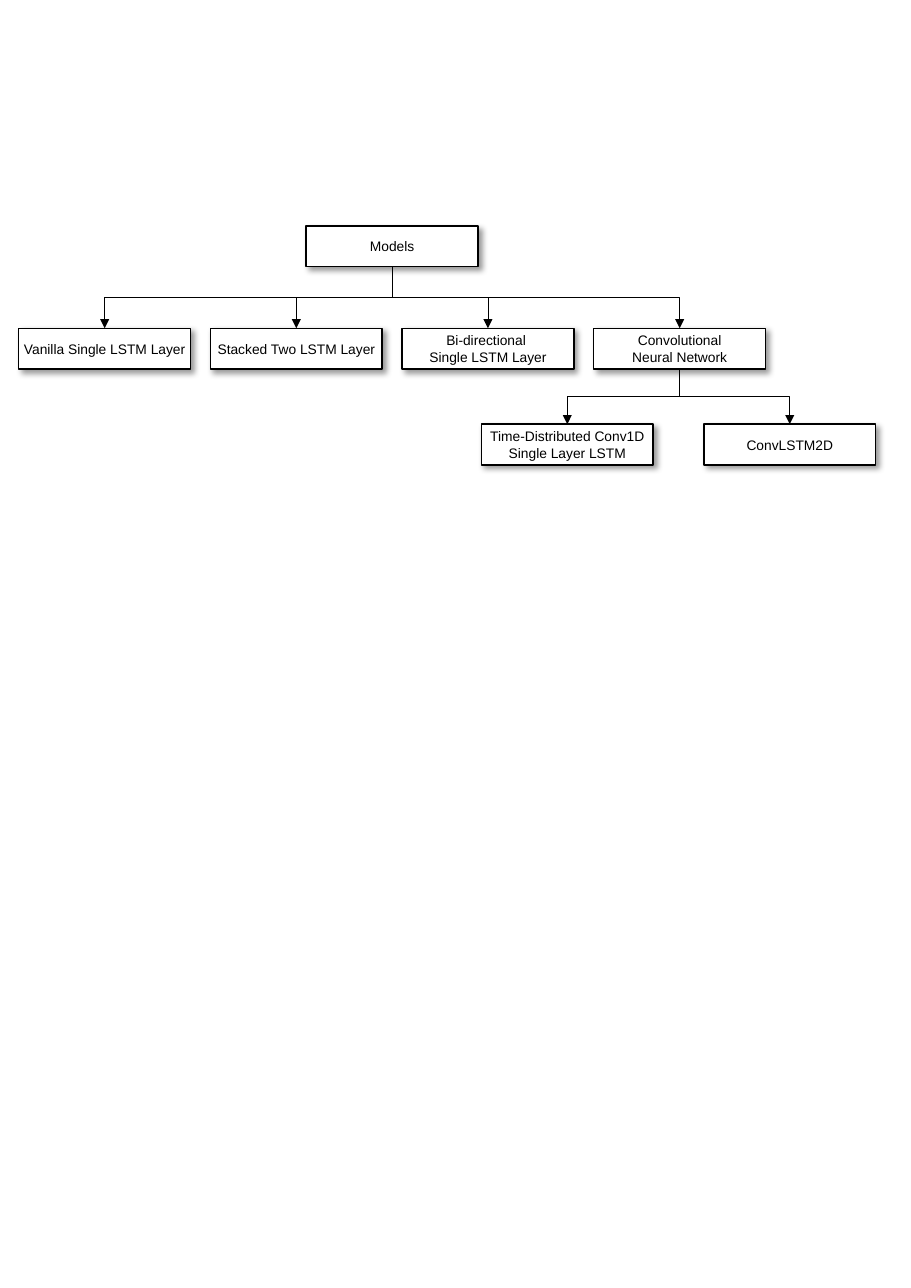
from lxml import etree
from pptx import Presentation
from pptx.dml.color import RGBColor
from pptx.enum.shapes import MSO_CONNECTOR as CONN, MSO_SHAPE as SHAPE
from pptx.enum.text import MSO_ANCHOR as ANCHOR, PP_ALIGN as ALIGN
from pptx.oxml import parse_xml
from pptx.oxml.ns import nsdecls, qn
from pptx.util import Inches, Pt

BOX_W, BOX_H = 1.56, 0.37
BLACK, WHITE = "000000", "FFFFFF"
BOTTOM, TOP = 2, 0  # connection sites of a rectangle


def color(value):
    return RGBColor.from_string(value)


def write(sp, text, size=9, font="Arial", fill=BLACK, align=ALIGN.CENTER):
    tf = sp.text_frame
    tf.word_wrap = True
    tf.vertical_anchor = ANCHOR.MIDDLE
    tf.margin_left = tf.margin_right = tf.margin_top = tf.margin_bottom = 0
    for i, line in enumerate(text.split("\n")):
        p = tf.paragraphs[0] if i == 0 else tf.add_paragraph()
        p.alignment = align
        r = p.add_run()
        r.text = line
        r.font.size, r.font.name = Pt(size), font
        r.font.color.rgb = color(fill)


def add_shadow(sp, blur=4, dist=3, angle=45, alpha=40):
    sp.element.spPr.append(parse_xml(
        f'<a:effectLst {nsdecls("a")}>'
        f'<a:outerShdw blurRad="{Pt(blur)}" dist="{Pt(dist)}" dir="{angle * 60000}" '
        f'algn="tl" rotWithShape="0"><a:srgbClr val="{BLACK}">'
        f'<a:alpha val="{alpha * 1000}"/></a:srgbClr></a:outerShdw></a:effectLst>'))


def add_node(s, text, left, top):
    sp = s.shapes.add_shape(SHAPE.RECTANGLE, Inches(left), Inches(top),
                            Inches(BOX_W), Inches(BOX_H))
    sp.fill.solid()
    sp.fill.fore_color.rgb = color(WHITE)
    sp.line.color.rgb = color(BLACK)
    sp.line.width = Pt(1)
    add_shadow(sp)
    write(sp, text)
    return sp


def add_arrow(s, parent, child):
    x1, y1 = parent.left + parent.width // 2, parent.top + parent.height
    x2, y2 = child.left + child.width // 2, child.top
    c = s.shapes.add_connector(CONN.ELBOW, x1, y1, x2, y2)
    c.begin_connect(parent, BOTTOM)
    c.end_connect(child, TOP)
    # Turn the elbow so that it leaves and arrives vertically
    span, drop = abs(x2 - x1), y2 - y1
    c.left, c.top = (x1 + x2 - drop) // 2, (y1 + y2 - span) // 2
    c.width, c.height = drop, span
    c.rotation = 270 if x2 > x1 else 90
    c.element.flipH, c.element.flipV = x2 > x1, False
    c.line.color.rgb = color(BLACK)
    c.line.width = Pt(0.5)
    etree.SubElement(c.line._get_or_add_ln(), qn("a:tailEnd"), type="triangle")
    etree.SubElement(c.element.spPr, qn("a:effectLst"))


def add_branch(s, parent, labels, left, top, pitch):
    """Places a row of equally spaced children and links them to the parent."""
    nodes = [add_node(s, text, left + i * pitch, top) for i, text in enumerate(labels)]
    for node in nodes:
        add_arrow(s, parent, node)
    return nodes


def add_model_tree(s, left, top):
    # Root
    root = add_node(s, "Models", left + 2.61, top)
    # Model families
    families = add_branch(s, root, [
        "Vanilla Single LSTM Layer",
        "Stacked Two LSTM Layer",
        "Bi-directional \nSingle LSTM Layer",
        "Convolutional\nNeural Network",
    ], left, top + 0.93, 1.74)
    # Convolutional variants
    add_branch(s, families[-1], [
        "Time-Distributed Conv1D Single Layer LSTM",
        "ConvLSTM2D",
    ], left + 4.2, top + 1.8, 2.02)


prs = Presentation()
prs.slide_width, prs.slide_height = Inches(8.27), Inches(11.69)
s = prs.slides.add_slide(prs.slide_layouts[6])
add_model_tree(s, 0.17, 2.05)
prs.save("out.pptx")
